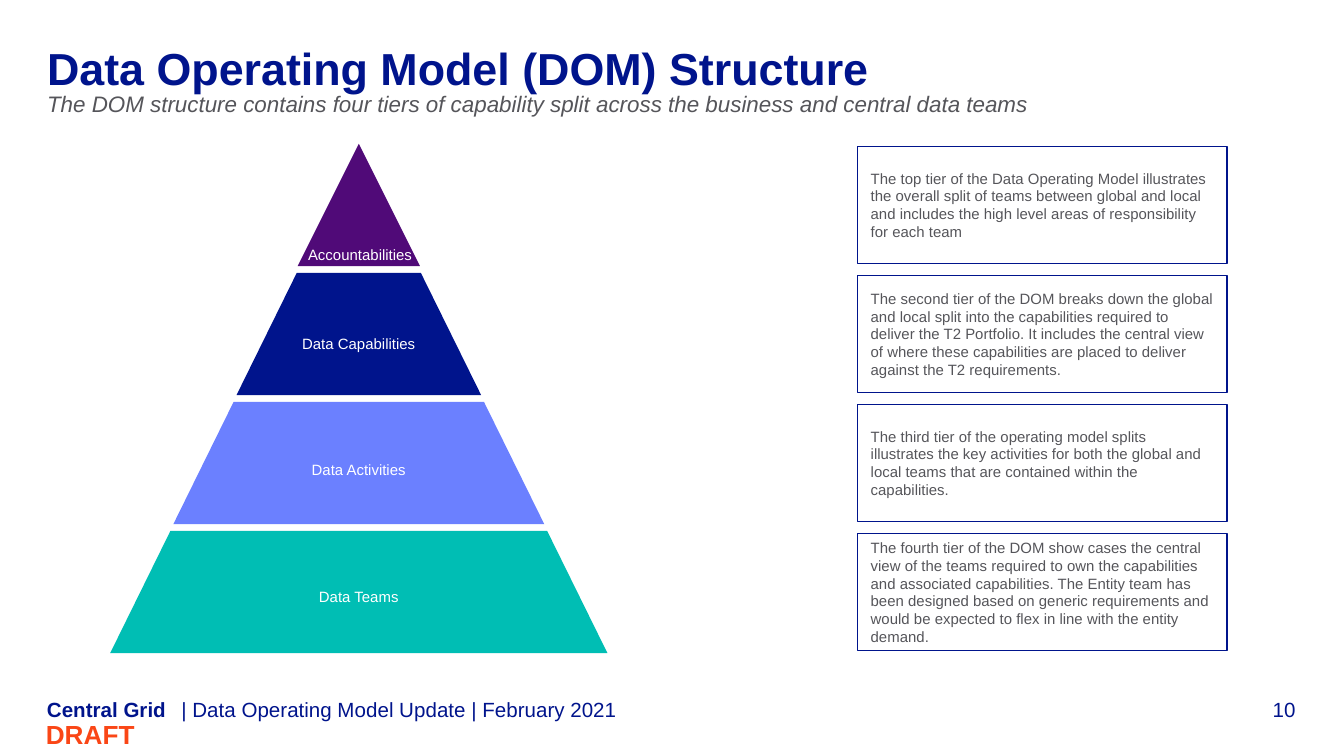
from pptx import Presentation
from pptx.dml.color import RGBColor
from pptx.enum.shapes import MSO_SHAPE
from pptx.enum.text import MSO_ANCHOR, PP_ALIGN
from pptx.util import Inches, Pt

TRIANGLE = MSO_SHAPE.ISOSCELES_TRIANGLE
TRAPEZOID = MSO_SHAPE.TRAPEZOID
RECTANGLE = MSO_SHAPE.RECTANGLE
TOP, MIDDLE, BOTTOM = MSO_ANCHOR.TOP, MSO_ANCHOR.MIDDLE, MSO_ANCHOR.BOTTOM
LEFT, CENTER, RIGHT = PP_ALIGN.LEFT, PP_ALIGN.CENTER, PP_ALIGN.RIGHT

FONT = "Arial"
COLORS = {
    "navy": "00148C",
    "purple": "500A78",
    "periwinkle": "6B80FF",
    "teal": "00BEB4",
    "grey": "55555A",
    "orange": "FA4616",
    "white": "FFFFFF",
}

SLIDE_WIDTH = 10
SLIDE_HEIGHT = SLIDE_WIDTH * 9 / 16
TIER_PITCH = 0.96
PYRAMID_CENTER, PYRAMID_TOP, TIER_HEIGHT = 2.67, 1.07, 0.91
NOTE_LEFT, NOTE_TOP, NOTE_WIDTH, NOTE_HEIGHT = 6.38, 1.09, 2.75, 0.87

# Label, width, colour and description, from the top tier down
TIERS = [
    ("Accountabilities", 0.91, "purple",
     "The top tier of the Data Operating Model illustrates the overall split of "
     "teams between global and local and includes the high level areas of "
     "responsibility for each team"),
    ("Data Capabilities", 1.82, "navy",
     "The second tier of the DOM breaks down the global and local split into the "
     "capabilities required to deliver the T2 Portfolio. It includes the central "
     "view of where these capabilities are placed to deliver against the T2 "
     "requirements."),
    ("Data Activities", 2.76, "periwinkle",
     "The third tier of the operating model splits illustrates the key activities "
     "for both the global and local teams that are contained within the "
     "capabilities."),
    ("Data Teams", 3.7, "teal",
     "The fourth tier of the DOM show cases the central view of the teams required "
     "to own the capabilities and associated capabilities. The Entity team has been "
     "designed based on generic requirements and would be expected to flex in line "
     "with the entity demand."),
]


def rgb(color):
    return RGBColor.from_string(COLORS[color])


def set_text(shape, text, size, color, align=LEFT, anchor=TOP, margins=(0, 0),
             space_after=0, bold=False, italic=False):
    """Fill a shape with one paragraph; margins are horizontal, vertical."""
    frame = shape.text_frame
    frame.text = text
    frame.word_wrap = True
    frame.vertical_anchor = anchor
    frame.margin_left = frame.margin_right = Inches(margins[0])
    frame.margin_top = frame.margin_bottom = Inches(margins[1])
    paragraph = frame.paragraphs[0]
    paragraph.alignment = align
    paragraph.space_after = Pt(space_after)
    font = paragraph.runs[0].font
    font.name, font.size = FONT, Pt(size)
    font.bold, font.italic = bold, italic
    font.color.rgb = rgb(color)


def add_text(slide, box, text, size, color, **options):
    textbox = slide.shapes.add_textbox(*map(Inches, box))
    set_text(textbox, text, size, color, **options)


def add_block(slide, kind, box, fill, line=None):
    shape = slide.shapes.add_shape(kind, *map(Inches, box))
    shape.shadow.inherit = False
    shape.fill.solid()
    shape.fill.fore_color.rgb = rgb(fill)
    if line:
        shape.line.color.rgb = rgb(line)
        shape.line.width = Pt(0.75)
    else:
        shape.line.fill.background()
    return shape


def add_tier(slide, index, label, width, color):
    box = (PYRAMID_CENTER - width / 2, PYRAMID_TOP + index * TIER_PITCH,
           width, TIER_HEIGHT)
    if index == 0:
        add_block(slide, TRIANGLE, box, color)
        add_text(slide, (2.21, 1.83, 0.94, 0.13), label, 8, "white",
                 align=CENTER, anchor=MIDDLE)
        return
    trapezoid = add_block(slide, TRAPEZOID, box, color)
    trapezoid.adjustments[0] = 0.493
    set_text(trapezoid, label, 8, "white", align=CENTER, anchor=MIDDLE,
             margins=(0.1, 0.05), space_after=4.5)


def add_note(slide, index, text):
    box = (NOTE_LEFT, NOTE_TOP + index * TIER_PITCH, NOTE_WIDTH, NOTE_HEIGHT)
    note = add_block(slide, RECTANGLE, box, "white", line="navy")
    set_text(note, text, 8, "grey", anchor=MIDDLE, margins=(0.1, 0.05),
             space_after=4.5)


def add_header(slide):
    add_text(slide, (0.35, 0.3, 9.29, 0.47),
             "Data Operating Model (DOM) Structure", 24, "navy", bold=True)
    add_text(slide, (0.35, 0.62, 9.49, 0.3),
             "The DOM structure contains four tiers of capability split across "
             "the business and central data teams",
             12, "grey", margins=(0, 0.05), space_after=6, italic=True)


def add_footer(slide):
    add_text(slide, (0.35, 5.18, 1, 0.19), "Central Grid", 11, "navy",
             anchor=BOTTOM, bold=True)
    add_text(slide, (1.35, 5.18, 7.87, 0.19),
             "| Data Operating Model Update | February 2021", 11, "navy",
             anchor=BOTTOM, space_after=6)
    add_text(slide, (9.06, 5.18, 0.58, 0.19), "10", 11, "navy",
             align=RIGHT, anchor=BOTTOM)
    add_text(slide, (0.02, 5.3, 1.08, 0.33), "DRAFT", 14, "orange",
             align=RIGHT, anchor=MIDDLE, margins=(0.1, 0.05),
             space_after=4.5, bold=True)


def main():
    presentation = Presentation()
    presentation.slide_width = Inches(SLIDE_WIDTH)
    presentation.slide_height = Inches(SLIDE_HEIGHT)
    slide = presentation.slides.add_slide(presentation.slide_layouts[6])
    add_header(slide)
    for index, (label, width, color, description) in enumerate(TIERS):
        add_tier(slide, index, label, width, color)
        add_note(slide, index, description)
    add_footer(slide)
    presentation.save("out.pptx")


if __name__ == "__main__":
    main()
